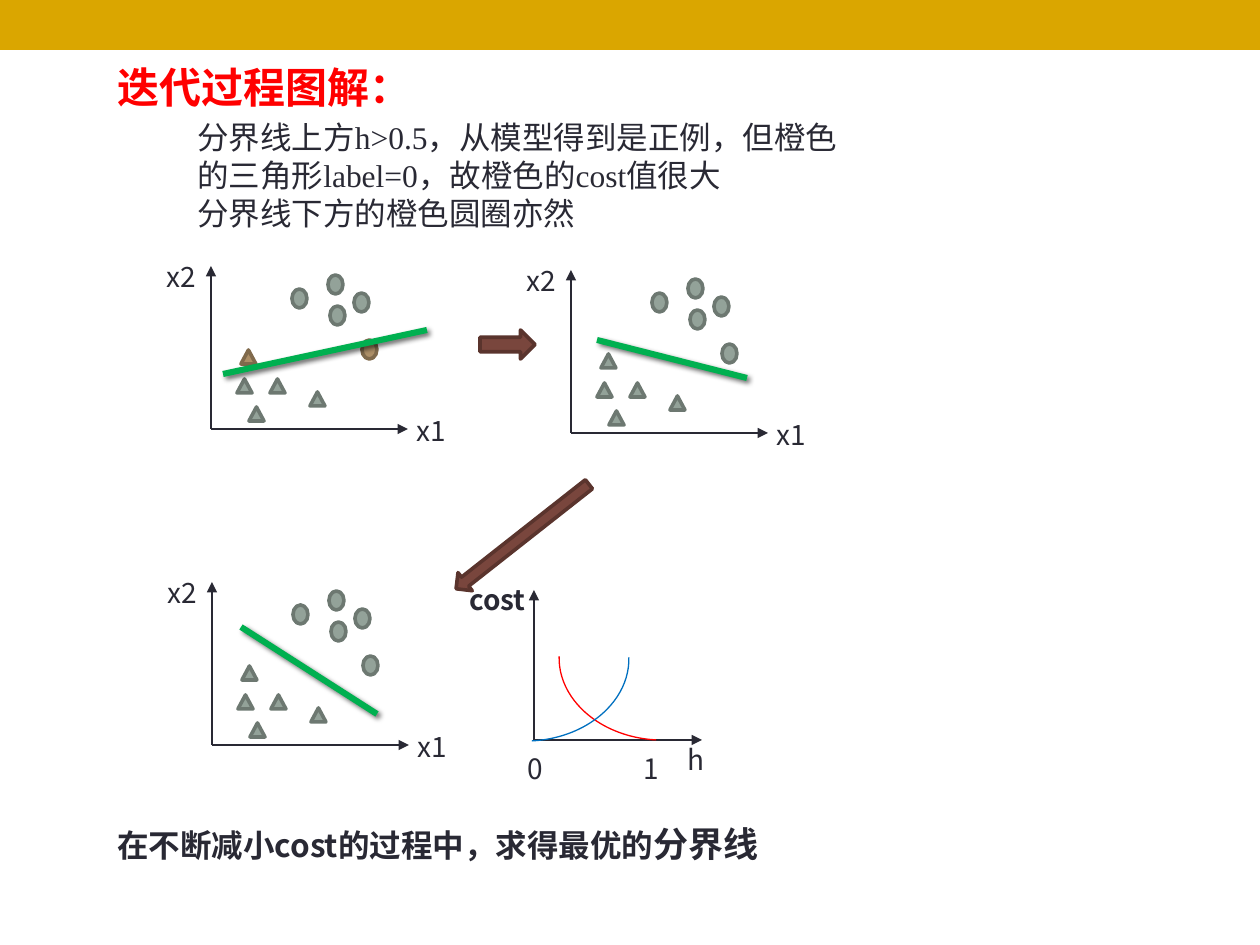
from lxml import etree
from pptx import Presentation
from pptx.dml.color import RGBColor
from pptx.enum.shapes import MSO_CONNECTOR, MSO_SHAPE
from pptx.oxml.ns import qn
from pptx.util import Emu, Pt

STRAIGHT = MSO_CONNECTOR.STRAIGHT
OVAL, TRIANGLE = MSO_SHAPE.OVAL, MSO_SHAPE.ISOSCELES_TRIANGLE
RECTANGLE, ARROW, ARC = MSO_SHAPE.RECTANGLE, MSO_SHAPE.RIGHT_ARROW, MSO_SHAPE.ARC

SCALE = 914400 / 126
SANS, SERIF = "Noto Sans CJK SC", "Times New Roman"
COLORS = {
    "band": "DAA600", "ink": "292934", "title": "FF0000", "boundary": "00B050",
    "sample": "93A299", "sample_edge": "6D7871",
    "wrong": "AD8F67", "wrong_edge": "806A4C",
    "step": "79463D", "step_edge": "5A342D",
    "negative": "FF0000", "positive": "0070C0", "shadow": "000000",
}

TITLE = "迭代过程图解："
EXPLANATION = [
    "分界线上方h>0.5，从模型得到是正例，但橙色的三角形label=0，故橙色的cost值很大",
    "分界线下方的橙色圆圈亦然",
]
CONCLUSION = [("在不断减小cost的过程中，求得最优的", 18), ("分界线", 20)]

CIRCLES = [(117, -154), (143, -136), (119, -123), (81, -140), (151, -89)]
TRIANGLES = [(30, -79), (26, -50), (59, -50), (99, -37), (38, -22)]
SAMPLES = [(OVAL, spot, (15, 19)) for spot in CIRCLES]
SAMPLES += [(TRIANGLE, spot, (15, 14)) for spot in TRIANGLES]
PLOT_LABELS = [("x1", 193, -22), ("x2", -57, -176)]
PLOTS = [
    {"origin": (211, 429), "boundary": (12, -55, 216, -99), "wrong": [(151, -89), (30, -79)]},
    {"origin": (571, 433), "boundary": (26, -93, 176, -55), "wrong": []},
    {"origin": (212, 745), "boundary": (29, -118, 165, -31), "wrong": []},
]
STEPS = [((480, 330, 55, 29), 0), ((438, 525, 169, 23), 141.8)]

COST_ORIGIN = (534, 740)
COST_LABELS = [("1", 631, 745, 62, False), ("0", 515, 745, 62, False),
               ("cost", 457, 576, 101, True), ("h", 675, 736, 62, False)]
COST_CURVES = [((559, 580, 202, 160), 182.8, False, "negative"),
               ((427, 581, 202, 160), 177.2, True, "positive")]

prs = Presentation()


def px(value):
    return Emu(round(value * SCALE))


def color(key):
    return RGBColor.from_string(COLORS[key])


prs.slide_width, prs.slide_height = px(1260), px(945)
slide = prs.slides.add_slide(prs.slide_layouts[6])
shapes = slide.shapes


def add_text(box, paragraphs, font=SANS, key="ink", bold=False):
    frame = shapes.add_textbox(*map(px, box)).text_frame
    frame.word_wrap = True
    for index, runs in enumerate(paragraphs):
        paragraph = frame.add_paragraph() if index else frame.paragraphs[0]
        paragraph.line_spacing = Pt(1.2 * max(size for _, size in runs))
        for words, size in runs:
            run = paragraph.add_run()
            run.text = words
            run.font.name, run.font.size, run.font.bold = font, Pt(size), bold
            run.font.color.rgb = color(key)
            east_asian = etree.SubElement(run.font._element, qn("a:ea"))
            east_asian.set("typeface", SANS)


def add_solid(kind, box, fill, edge=None, rotation=0):
    shape = shapes.add_shape(kind, *map(px, box))
    shape.shadow.inherit = False
    shape.rotation = rotation
    shape.fill.solid()
    shape.fill.fore_color.rgb = color(fill)
    if edge:
        shape.line.color.rgb = color(edge)
        shape.line.width = Pt(2.08)
        etree.SubElement(shape.line._get_or_add_ln(), qn("a:round"))
    else:
        shape.line.fill.background()


def add_line(start, end, key, width):
    line = shapes.add_connector(STRAIGHT, *map(px, (*start, *end)))
    line.line.color.rgb = color(key)
    line.line.width = Pt(width)
    effects = etree.SubElement(line._element.spPr, qn("a:effectLst"))
    return line, effects


def add_axes(origin, width, height):
    x, y = origin
    for end in [(x + width, y), (x, y - height)]:
        axis, _ = add_line(origin, end, "ink", 0.75)
        etree.SubElement(axis.line._get_or_add_ln(), qn("a:tailEnd"), type="triangle")


def add_boundary(start, end):
    _, effects = add_line(start, end, "boundary", 3.5)
    shadow = etree.SubElement(effects, qn("a:outerShdw"), blurRad=str(Pt(3)),
                              dist=str(Pt(2)), dir="2700000", rotWithShape="0")
    tint = etree.SubElement(shadow, qn("a:srgbClr"), val=COLORS["shadow"])
    etree.SubElement(tint, qn("a:alpha"), val="60000")


def add_plot(origin, boundary, wrong):
    x, y = origin
    add_axes(origin, 197, 163)
    for label, dx, dy in PLOT_LABELS:
        add_text((x + dx, y + dy, 62, 47), [[(label, 16)]])
    for kind, (dx, dy), size in SAMPLES:
        fill = "wrong" if (dx, dy) in wrong else "sample"
        add_solid(kind, (x + dx, y + dy, *size), fill, fill + "_edge")
    x1, y1, x2, y2 = boundary
    add_boundary((x + x1, y + y1), (x + x2, y + y2))


def add_curve(box, rotation, flipped, key):
    curve = shapes.add_shape(ARC, *map(px, box))
    curve.shadow.inherit = False
    curve.adjustments[0], curve.adjustments[1] = 162, 215.55
    curve.rotation = rotation
    if flipped:
        curve._element.spPr.find(qn("a:xfrm")).set("flipH", "1")
    curve.fill.background()
    curve.line.color.rgb = color(key)
    curve.line.width = Pt(0.75)


add_solid(RECTANGLE, (0, 0, 1260, 50), "band")
add_text((105, 55, 431, 63), [[(TITLE, 24)]], key="title", bold=True)
for plot in PLOTS:
    add_plot(**plot)
for box, rotation in STEPS:
    add_solid(ARROW, box, "step", "step_edge", rotation)
add_axes(COST_ORIGIN, 168, 150)
for label, left, top, width, bold in COST_LABELS:
    add_text((left, top, width, 47), [[(label, 16)]], bold=bold)
for curve in COST_CURVES:
    add_curve(*curve)
add_text((185, 112, 683, 127), [[(line, 18)] for line in EXPLANATION], font=SERIF)
add_text((105, 816, 722, 55), [CONCLUSION], bold=True)

prs.save("out.pptx")
